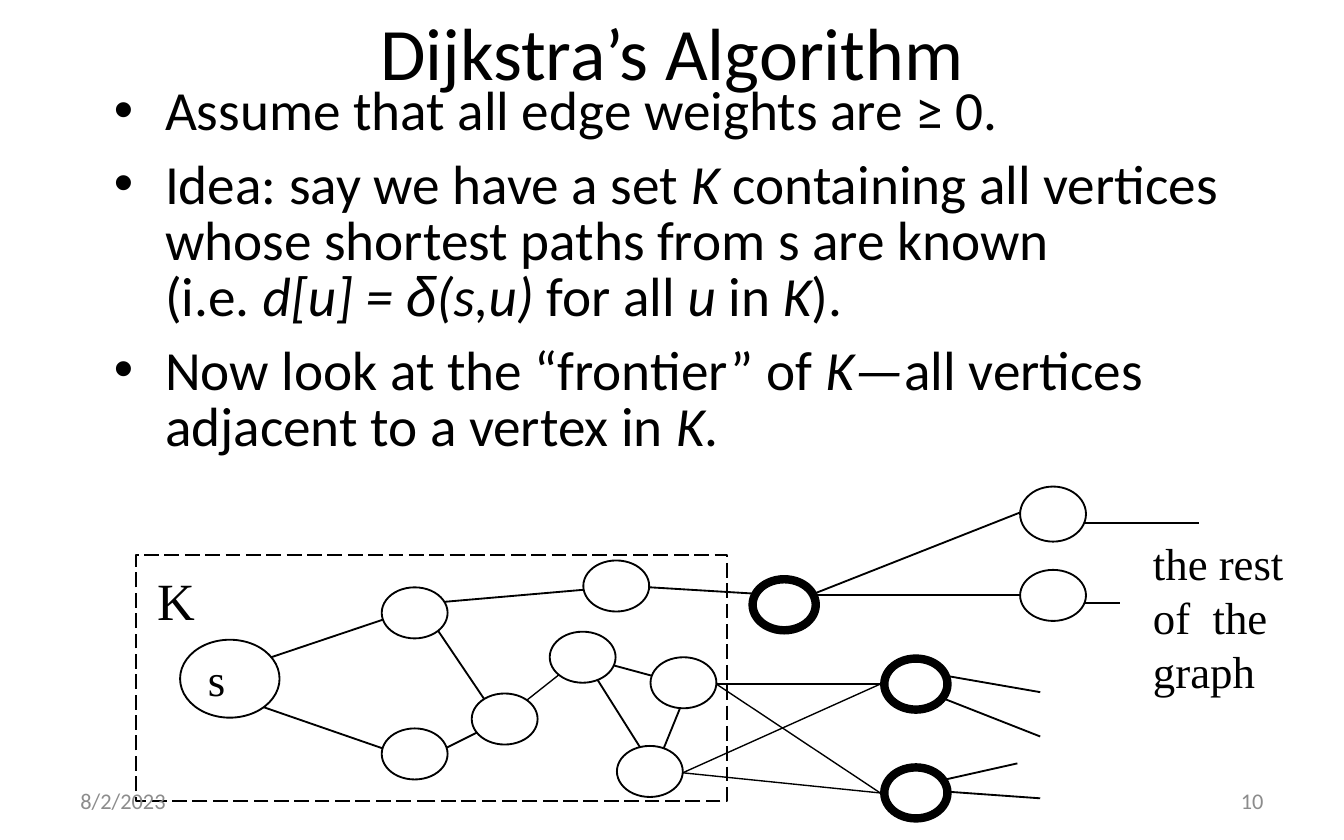
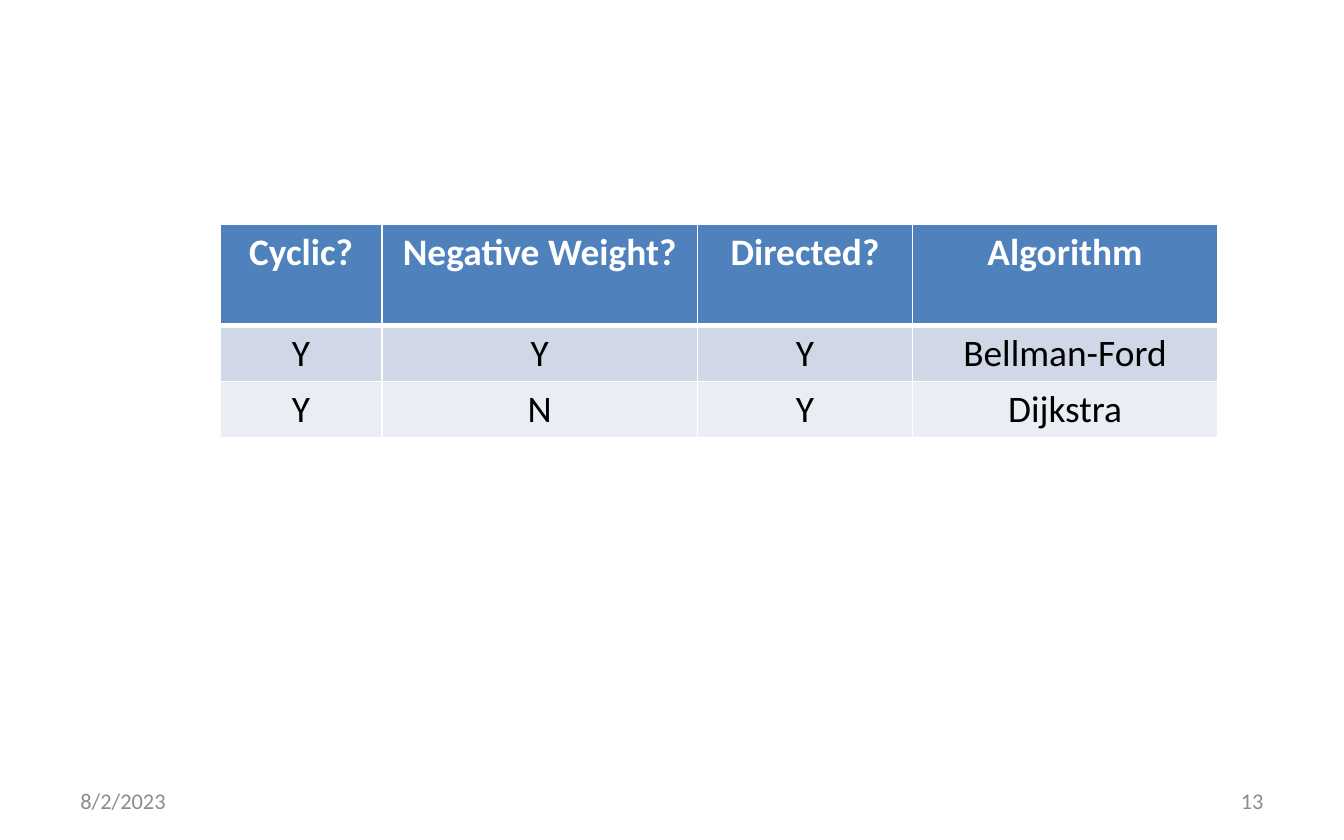
import pptx
import pptx.dml.color
import pptx.enum.dml
import pptx.enum.shapes
import pptx.enum.text
import pptx.oxml
import pptx.oxml.ns
import pptx.util
import itertools
import lxml.etree

# Shared style
COLORS = {
    "ink": "000000",
    "paper": "FFFFFF",
    "footer": "8C8C8C",
    "header": "4F81BD",
    "odd row": "D0D8E8",
    "even row": "E9EDF4",
}
SANS, SERIF, GREEK = "Calibri", "Times New Roman", "Arial"
SIZES = {"title": 39.6, "body": 29.6, "set": 28, "label": 24, "table": 20, "footer": 12}
THIN, NORMAL, THICK, HEAVY = 0.75, 1, 3, 4.5
COLUMNS, ROWS = 1000, 625  # fine grid that covers the slide
DATE = "8/2/2023"

ALIGN = pptx.enum.text.PP_ALIGN
ANCHOR = pptx.enum.text.MSO_ANCHOR
SHAPE = pptx.enum.shapes.MSO_SHAPE

# Vertices of the graph: left and top
VERTEX_SIZE, FRONTIER_SIZE = (49, 38), (47, 38)
KNOWN = {
    "upper": (284, 437),
    "top": (434, 417),
    "hub": (409, 470),
    "lower": (284, 542),
    "middle": (351, 516),
    "right": (484, 489),
    "bottom": (459, 555),
}
FRONTIER = {"first": (560, 431), "second": (658, 490), "third": (658, 571)}
FAR = {"high": (759, 362, 49, 41), "low": (759, 424, *VERTEX_SIZE)}

# Edges of the graph: the two vertices, then x and y of both ends
KNOWN_EDGES = {
    ("source", "upper"): (184, 495, 300, 456),
    ("source", "lower"): (184, 522, 317, 568),
    ("upper", "top"): (317, 449, 467, 436),
    ("upper", "middle"): (317, 456, 375, 542),
    ("lower", "middle"): (309, 568, 375, 535),
    ("hub", "right"): (434, 489, 508, 509),
    ("hub", "bottom"): (434, 489, 492, 581),
    ("right", "bottom"): (508, 522, 484, 581),
    ("top", "first"): (467, 436, 583, 443),
}
OUTER_EDGES = {
    ("first", "high"): (600, 444, 775, 375),
    ("first", "low"): (592, 443, 783, 443),
    ("high", "rest"): (800, 389, 892, 389),
    ("low", "rest"): (792, 449, 833, 449),
    ("second", "rest above"): (699, 502, 774, 515),
    ("second", "rest below"): (690, 515, 774, 548),
    ("third", "rest above"): (699, 581, 757, 568),
    ("third", "rest below"): (690, 588, 774, 594),
}
MIDDLE_TO_HUB = (392, 521, 416, 502)
CROSSING_STARTS = {"right": (533, 509), "bottom": (508, 575)}
CROSSING_ENDS = {"second": (655, 509), "third": (655, 590)}


def rgb(name):
    return pptx.dml.color.RGBColor.from_string(COLORS[name])


def add_xml(parent, tag, **attributes):
    element = lxml.etree.SubElement(parent, pptx.oxml.ns.qn(tag))
    for key, value in attributes.items():
        element.set(key, value)


class Deck:
    """Holds the style and the slide being drawn."""

    def __init__(self):
        self.presentation = pptx.Presentation()
        self.presentation.slide_width = pptx.util.Inches(10)
        self.presentation.slide_height = pptx.util.Inches(6.25)
        self.slide = None

    def new_slide(self):
        blank = self.presentation.slide_layouts[6]
        self.slide = self.presentation.slides.add_slide(blank)

    # Grid
    def x(self, columns):
        return round(self.presentation.slide_width * columns / COLUMNS)

    def y(self, rows):
        return round(self.presentation.slide_height * rows / ROWS)

    def box(self, left, top, width, height):
        return self.x(left), self.y(top), self.x(width), self.y(height)

    # Text
    def style_runs(self, paragraph, size, font=SANS, color="ink", bold=False):
        for run in paragraph.runs:
            run.font.size = pptx.util.Pt(SIZES[size])
            run.font.name = font
            run.font.bold = bold
            run.font.color.rgb = rgb(color)

    def line_of_text(self, area, words, size, align, color="ink"):
        frame = self.slide.shapes.add_textbox(*self.box(*area)).text_frame
        frame.text = words
        frame.word_wrap = True
        frame.vertical_anchor = ANCHOR.MIDDLE
        frame.paragraphs[0].alignment = align
        self.style_runs(frame.paragraphs[0], size, color=color)

    def title(self, words):
        self.line_of_text((75, 0, 850, 76), words, "title", ALIGN.CENTER)

    def footer(self, number):
        for left, words, align in ((50, DATE, ALIGN.LEFT), (717, number, ALIGN.RIGHT)):
            self.line_of_text((left, 579, 233, 33), words, "footer", align, "footer")

    def write_label(self, shape, words, size):
        frame = shape.text_frame
        frame.text = words
        frame.word_wrap = False
        for paragraph in frame.paragraphs:
            paragraph.alignment = ALIGN.LEFT
            self.style_runs(paragraph, size, SERIF)

    def label(self, area, words, size):
        shape = self.slide.shapes.add_textbox(*self.box(*area))
        self.write_label(shape, words, size)
        shape.text_frame.auto_size = pptx.enum.text.MSO_AUTO_SIZE.SHAPE_TO_FIT_TEXT

    def add_marked_runs(self, paragraph, marked):
        """Each asterisk switches italics; a newline breaks the line."""
        for part, words in enumerate(marked.split("*")):
            for index, line in enumerate(words.split("\n")):
                if index > 0:
                    paragraph.add_line_break()
                if line:
                    run = paragraph.add_run()
                    run.text = line
                    run.font.italic = part % 2 == 1

    def bullets(self, area, items):
        frame = self.slide.shapes.add_textbox(*self.box(*area)).text_frame
        frame.word_wrap = True
        indent = self.x(38)
        for index, item in enumerate(items):
            paragraph = frame.add_paragraph() if index else frame.paragraphs[0]
            paragraph.line_spacing = 0.85
            paragraph.space_before = pptx.util.Pt(9 if index else 0)
            self.add_marked_runs(paragraph, item)
            self.style_runs(paragraph, "body")
            for run in paragraph.runs:
                if run.text == "δ":
                    run.font.name = GREEK
            properties = paragraph._p.get_or_add_pPr()
            properties.set("marL", str(indent))
            properties.set("indent", str(-indent))
            add_xml(properties, "a:buFont", typeface=GREEK)
            add_xml(properties, "a:buChar", char="•")

    # Graph
    def outline(self, kind, area, weight):
        shape = self.slide.shapes.add_shape(kind, *self.box(*area))
        shape.shadow.inherit = False
        shape.line.color.rgb = rgb("ink")
        shape.line.width = pptx.util.Pt(weight)
        return shape

    def dashed_frame(self, area):
        shape = self.outline(SHAPE.RECTANGLE, area, NORMAL)
        shape.fill.background()
        shape.line.dash_style = pptx.enum.dml.MSO_LINE.LONG_DASH

    def vertex(self, area, weight=NORMAL):
        shape = self.outline(SHAPE.OVAL, area, weight)
        shape.fill.solid()
        shape.fill.fore_color.rgb = rgb("paper")
        return shape

    def edge(self, ends, weight=NORMAL):
        x1, y1, x2, y2 = ends
        line = self.slide.shapes.add_connector(
            pptx.enum.shapes.MSO_CONNECTOR.STRAIGHT,
            self.x(x1), self.y(y1), self.x(x2), self.y(y2))
        line.line.color.rgb = rgb("ink")
        line.line.width = pptx.util.Pt(weight)
        add_xml(line._element.spPr, "a:effectLst")

    # Table
    def cell_borders(self, cell, bottom):
        properties = cell._tc.get_or_add_tcPr()
        weights = {"L": NORMAL, "R": NORMAL, "T": NORMAL, "B": bottom}
        for index, (side, weight) in enumerate(weights.items()):
            properties.insert(index, pptx.oxml.parse_xml(
                f'<a:ln{side} {pptx.oxml.ns.nsdecls("a")} w="{pptx.util.Pt(weight)}">'
                f'<a:solidFill><a:srgbClr val="{COLORS["paper"]}"/></a:solidFill>'
                f'</a:ln{side}>'))

    def table_cell(self, cell, words, fill, color, bold, bottom):
        cell.margin_left = cell.margin_right = self.x(10)
        cell.margin_top = cell.margin_bottom = self.y(4)
        cell.fill.solid()
        cell.fill.fore_color.rgb = rgb(fill)
        cell.text_frame.text = words
        paragraph = cell.text_frame.paragraphs[0]
        paragraph.alignment = ALIGN.CENTER
        self.style_runs(paragraph, "table", color=color, bold=bold)
        self.cell_borders(cell, bottom)

    def table(self, left, top, widths, heights, rows):
        area = self.box(left, top, sum(widths), sum(heights))
        table = self.slide.shapes.add_table(len(rows), len(widths), *area).table
        for column, width in zip(table.columns, widths):
            column.width = self.x(width)
        for index, (row, height) in enumerate(zip(table.rows, heights)):
            row.height = self.y(height)
            if index == 0:
                style = ("header", "paper", True, THICK)
            else:
                style = ("odd row" if index % 2 else "even row", "ink", False, NORMAL)
            for cell, words in zip(row.cells, rows[index]):
                self.table_cell(cell, words, *style)


def frontier_slide(deck):
    deck.new_slide()
    deck.dashed_frame((101, 413, 440, 183))

    # Title and explanation
    deck.title("Dijkstra’s Algorithm")
    deck.bullets((75, 59, 850, 347), [
        "Assume that all edge weights are ≥ 0.",
        "Idea: say we have a set *K* containing all vertices whose shortest paths "
        "from s are known \n(i.e. *d[u] = **δ**(s,u)* for all *u* in *K*).",
        "Now look at the “frontier” of *K—*all vertices adjacent to a vertex in *K*.",
    ])

    # Edges first, so that the vertices cover their ends
    for ends in itertools.chain(OUTER_EDGES.values(), KNOWN_EDGES.values()):
        deck.edge(ends)

    # Vertices
    source = deck.vertex((134, 476, 74, 58))
    deck.write_label(source, "s", "label")
    for place in KNOWN.values():
        deck.vertex((*place, *VERTEX_SIZE))
    for area in FAR.values():
        deck.vertex(area)
    for place in FRONTIER.values():
        deck.vertex((*place, *FRONTIER_SIZE), HEAVY)

    # Names of the two regions
    deck.label((107, 418, 49, 57), "K", "set")
    deck.label((848, 394, 118, 131), "the rest\nof  the\ngraph", "label")

    # Thin edges: each crossing start meets each crossing end
    deck.edge(MIDDLE_TO_HUB, THIN)
    for start, end in itertools.product(CROSSING_STARTS.values(), CROSSING_ENDS.values()):
        deck.edge((*start, *end), THIN)
    deck.footer("10")


def comparison_slide(deck):
    deck.new_slide()
    deck.footer("13")
    deck.table(164, 167, widths=[120, 235, 160, 227], heights=[75, 42, 42], rows=[
        ["Cyclic?", "Negative Weight?", "Directed?", "Algorithm"],
        ["Y", "Y", "Y", "Bellman-Ford"],
        ["Y", "N", "Y", "Dijkstra"],
    ])


def main():
    deck = Deck()
    frontier_slide(deck)
    comparison_slide(deck)
    deck.presentation.save("out.pptx")


if __name__ == "__main__":
    main()
